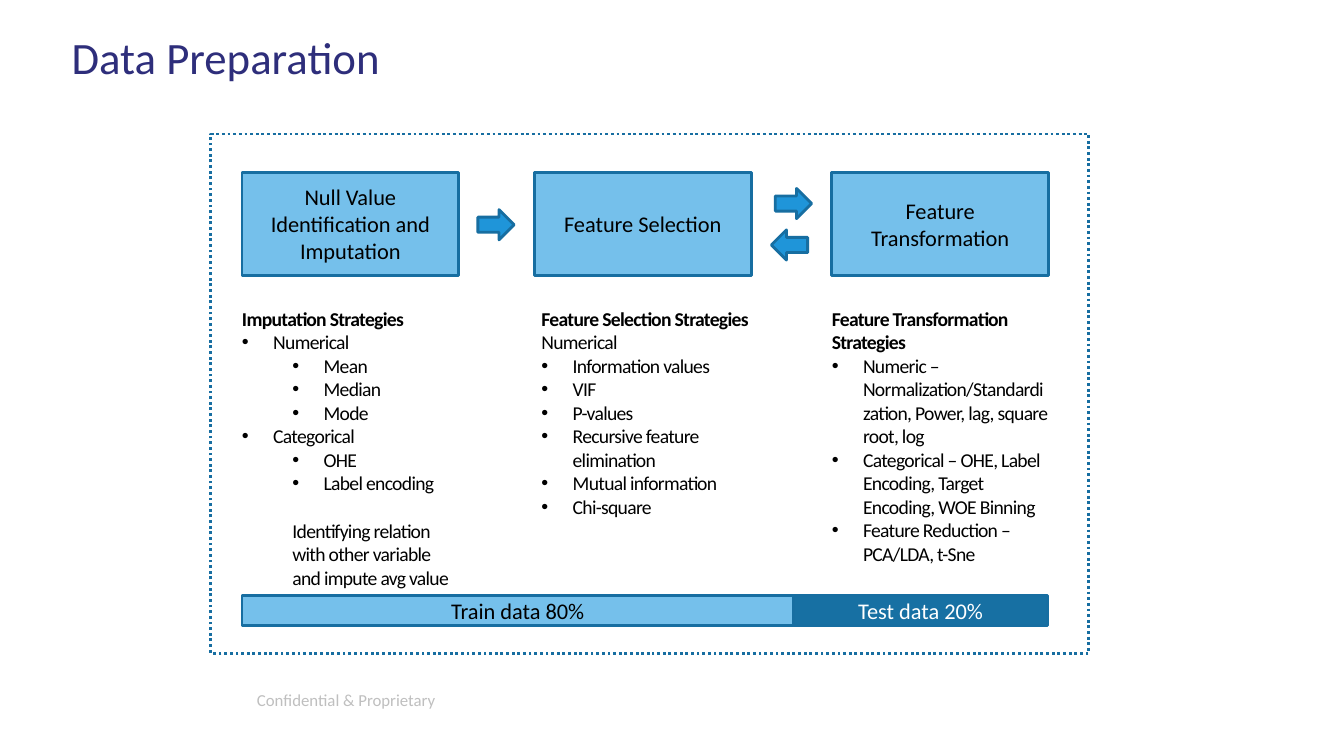
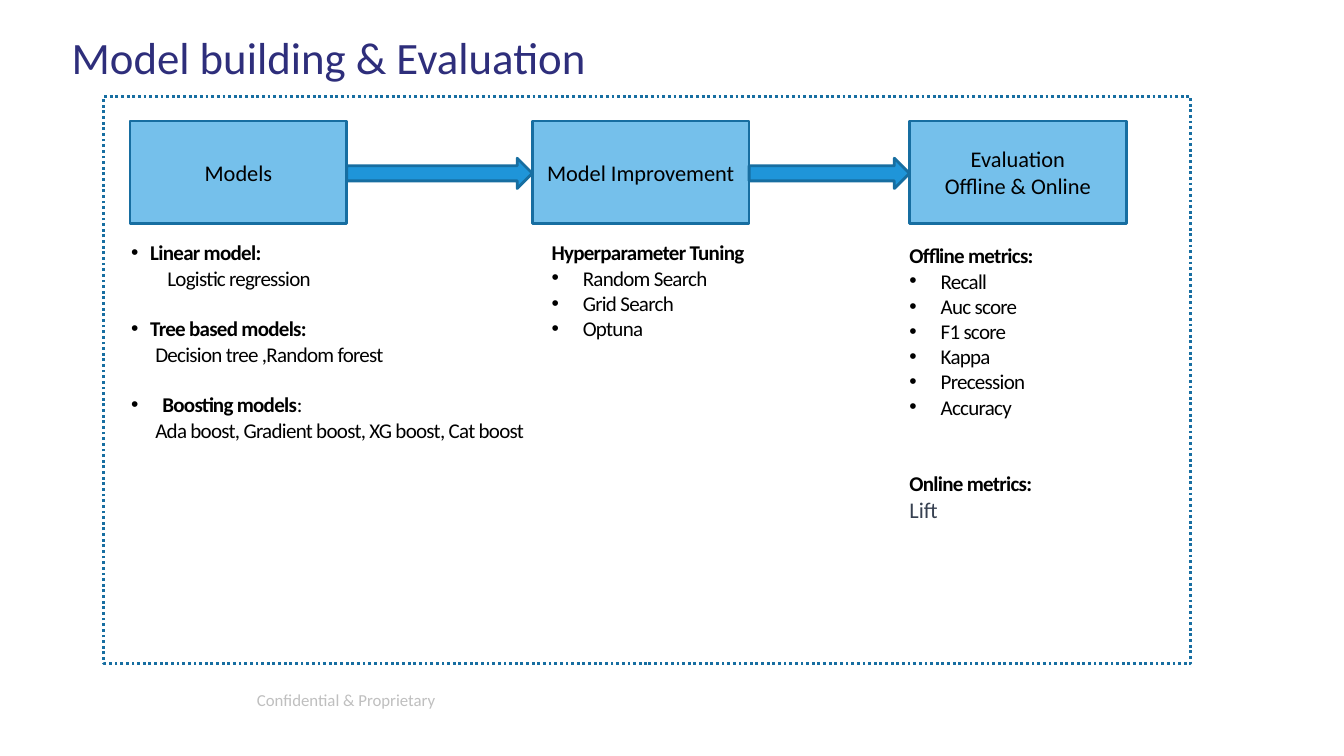
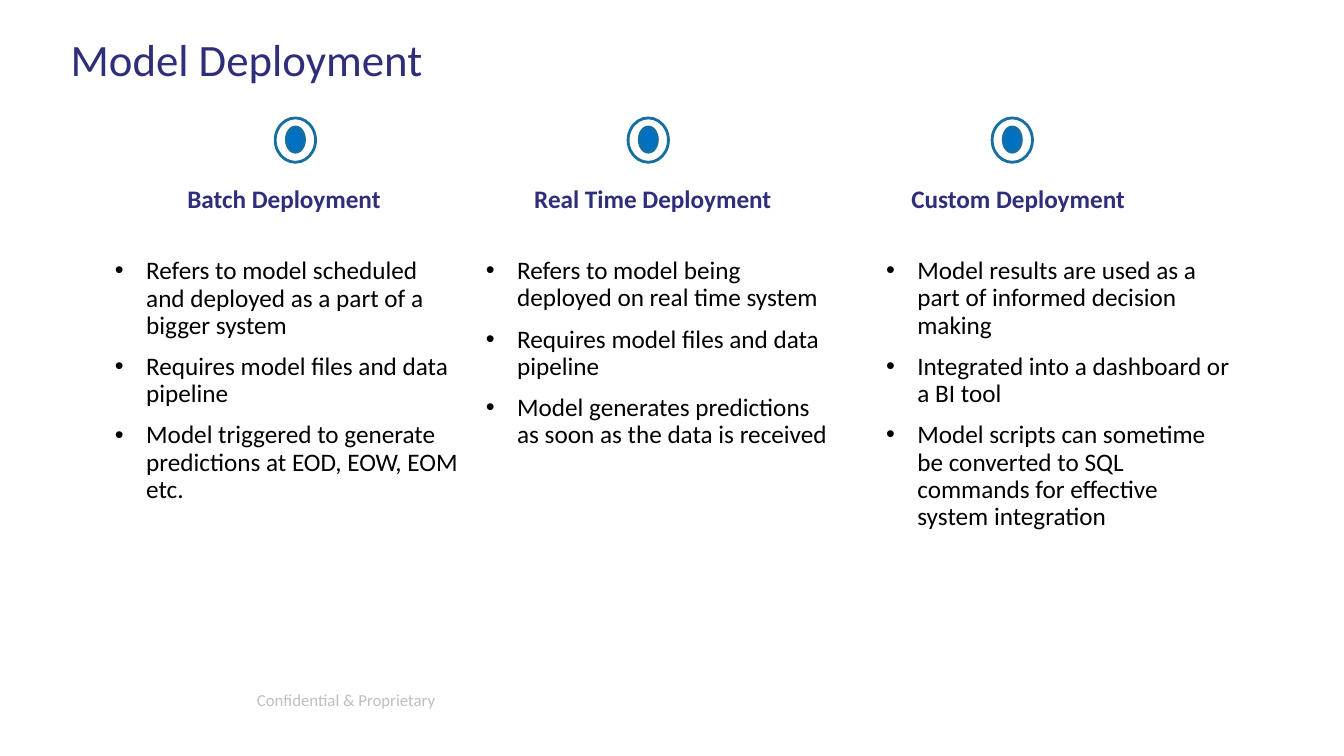
from dataclasses import dataclass
from itertools import pairwise

from lxml.etree import SubElement
from pptx import Presentation
from pptx.dml.color import RGBColor
from pptx.enum.dml import MSO_LINE
from pptx.enum.shapes import MSO_SHAPE
from pptx.enum.text import MSO_ANCHOR, MSO_AUTO_SIZE, PP_ALIGN
from pptx.oxml.ns import qn
from pptx.util import Inches, Pt

FONT = "Calibri"
NAVY = RGBColor(0x2E, 0x2E, 0x7B)
SKY = RGBColor(0x75, 0xC0, 0xEB)
BLUE = RGBColor(0x1F, 0x95, 0xD9)
DEEP_BLUE = RGBColor(0x17, 0x70, 0xA3)
OUTLINE = RGBColor(0x17, 0x6E, 0xA1)
DOT_BLUE = RGBColor(0x00, 0x70, 0xC0)
SLATE = RGBColor(0x37, 0x41, 0x51)
FOOTER_GREY = RGBColor(0xBF, 0xBF, 0xBF)
BLACK = RGBColor(0x00, 0x00, 0x00)
WHITE = RGBColor(0xFF, 0xFF, 0xFF)

TITLE_ONLY_LAYOUT = 5
CONTENT_LAYOUT = 1
STEP_WIDTH, STEP_HEIGHT = 2.15, 1.02
ARROW_WIDTH, ARROW_HEIGHT = 0.36, 0.3
HANG = 0.31


@dataclass
class Line:
    text: str
    bold: bool = False
    bullet: bool = False
    indent: float = 0
    hang: float = HANG
    before: float = 0
    tail: str = ""
    size: float = None
    color: RGBColor = None
    spacing: float = None


def heading(text, **options):
    return Line(text, bold=True, **options)


def bullets(*texts, **options):
    return [Line(text, bullet=True, **options) for text in texts]


def write_text(frame, lines, size=16, color=BLACK, spacing=0, align=PP_ALIGN.LEFT,
               anchor=MSO_ANCHOR.TOP, margin=None, line_spacing=1.0, before=0):
    frame.word_wrap = True
    frame.auto_size = MSO_AUTO_SIZE.NONE
    frame.vertical_anchor = anchor
    if margin is not None:
        frame.margin_left = frame.margin_right = Inches(margin)
        frame.margin_top = frame.margin_bottom = Inches(margin)
    for index, line in enumerate(lines):
        paragraph = frame.add_paragraph() if index else frame.paragraphs[0]
        paragraph.text = line.text
        for run in paragraph.runs:
            run.font.bold = line.bold
        if line.tail:
            run = paragraph.add_run()
            run.text = line.tail
            run.font.bold = False
        for run in paragraph.runs:
            run.font.name = FONT
            run.font.size = Pt(line.size or size)
            run.font.color.rgb = line.color or color
            tracking = spacing if line.spacing is None else line.spacing
            run.font._element.set("spc", str(round(tracking * 100)))
        paragraph.alignment = align
        paragraph.line_spacing = line_spacing
        paragraph.space_before = Pt(line.before or before)
        format_indent(paragraph, line)


def format_indent(paragraph, line):
    properties = paragraph._p.get_or_add_pPr()
    hang = line.hang if line.bullet else 0
    properties.set("marL", str(Inches(line.indent + hang)))
    properties.set("indent", str(-Inches(hang)))
    if line.bullet:
        SubElement(properties, qn("a:buFont")).set("typeface", "Arial")
        SubElement(properties, qn("a:buChar")).set("char", "•")
    else:
        SubElement(properties, qn("a:buNone"))


def add_text(slide, left, top, width, height, lines, **text_format):
    box = slide.shapes.add_textbox(Inches(left), Inches(top), Inches(width), Inches(height))
    write_text(box.text_frame, lines, **text_format)


def add_outlined(slide, kind, left, top, width, height, fill=None):
    shape = slide.shapes.add_shape(
        kind, Inches(left), Inches(top), Inches(width), Inches(height))
    shape.shadow.inherit = False
    if fill is None:
        shape.fill.background()
    else:
        shape.fill.solid()
        shape.fill.fore_color.rgb = fill
    shape.line.color.rgb = OUTLINE
    shape.line.width = Pt(2)
    return shape


def add_label_box(slide, left, top, width, height, text, fill=SKY, color=BLACK):
    shape = add_outlined(slide, MSO_SHAPE.RECTANGLE, left, top, width, height, fill)
    write_text(shape.text_frame, [Line(text)], color=color,
               align=PP_ALIGN.CENTER, anchor=MSO_ANCHOR.MIDDLE)


def add_arrow(slide, left, top, width=ARROW_WIDTH, rotation=0):
    arrow = add_outlined(slide, MSO_SHAPE.RIGHT_ARROW, left, top, width, ARROW_HEIGHT, BLUE)
    arrow.rotation = rotation


def add_frame(slide, left, top, width, height):
    frame = add_outlined(slide, MSO_SHAPE.RECTANGLE, left, top, width, height)
    frame.line.dash_style = MSO_LINE.ROUND_DOT


def add_steps(slide, left, top, steps):
    for offset, text in steps:
        add_label_box(slide, left + offset, top, STEP_WIDTH, STEP_HEIGHT, text)


def add_notes_columns(slide, left, top, columns, size):
    for across, down, width, height, lines in columns:
        add_text(slide, left + across, top + down, width, height, lines,
                 size=size, spacing=-0.5, margin=0)


def place(shape, left, top, width, height):
    shape.left, shape.top = Inches(left), Inches(top)
    shape.width, shape.height = Inches(width), Inches(height)


def add_titled_slide(presentation, layout_index, title, left=0.71, top=0.35):
    slide = presentation.slides.add_slide(presentation.slide_layouts[layout_index])
    place(slide.shapes.title, left, top, 12.01, 0.73)
    write_text(slide.shapes.title.text_frame, [Line(title)], size=32, color=NAVY,
               margin=0, line_spacing=0.9)
    add_text(slide, 2.45, 6.74, 4.5, 0.4, [Line("Confidential & Proprietary")],
             size=12, color=FOOTER_GREY, anchor=MSO_ANCHOR.MIDDLE)
    return slide


def add_preparation(slide, left, top, width, height):
    add_frame(slide, left, top, width, height)
    add_steps(slide, left, top + 0.38, [
        (0.31, "Null Value Identification and Imputation"),
        (3.21, "Feature Selection"),
        (6.16, "Feature Transformation"),
    ])
    for across, down, rotation in ((2.65, 0.75, 0), (5.6, 0.54, 0), (5.56, 0.95, 180)):
        add_arrow(slide, left + across, top + down, rotation=rotation)
    imputation = [
        heading("Imputation Strategies"),
        *bullets("Numerical"),
        *bullets("Mean", "Median", "Mode", indent=0.5),
        *bullets("Categorical"),
        *bullets("OHE", "Label encoding", indent=0.5),
        Line("Identifying relation with other variable and impute avg value",
             indent=0.5, before=17),
    ]
    selection = [
        heading("Feature Selection Strategies"),
        Line("Numerical"),
        *bullets("Information values", "VIF", "P-values", "Recursive feature elimination",
                 "Mutual information", "Chi-square"),
    ]
    transformation = [
        heading("Feature Transformation Strategies"),
        *bullets("Numeric – Normalization/Standardization, Power, lag, square root, log",
                 "Categorical – OHE, Label Encoding, Target Encoding, WOE Binning",
                 "Feature Reduction – PCA/LDA, t-Sne"),
    ]
    add_notes_columns(slide, left, top + 1.71, [
        (0.31, 0, STEP_WIDTH, 2.98, imputation),
        (3.28, 0, STEP_WIDTH, 2.1, selection),
        (6.16, 0, STEP_WIDTH, 2.68, transformation),
    ], size=14)
    train_width, test_width = 5.47, 2.52
    add_label_box(slide, left + 0.31, top + 4.58, train_width, 0.3, "Train data 80%")
    add_label_box(slide, left + 0.31 + train_width, top + 4.58, test_width, 0.3,
                  "Test data 20%", fill=DEEP_BLUE, color=WHITE)


def add_evaluation(slide, left, top, width, height):
    add_frame(slide, left, top, width, height)
    steps = [(0.26, "Models"), (4.25, "Model Improvement"),
             (7.99, "Evaluation\nOffline & Online")]
    step_top = top + 0.24
    add_steps(slide, left, step_top, steps)
    for (start, _), (end, _) in pairwise(steps):
        add_arrow(slide, left + start + STEP_WIDTH,
                  step_top + (STEP_HEIGHT - ARROW_HEIGHT) / 2 + 0.01,
                  width=end - start - STEP_WIDTH)
    models = [
        heading("Linear model:", bullet=True, hang=0.19),
        Line("Logistic regression", indent=0.36),
        heading("Tree based models:", bullet=True, hang=0.19, before=18.3),
        Line("Decision tree ,Random forest", indent=0.24),
        heading("Boosting models", bullet=True, tail=":", before=18.3),
        Line("Ada boost, Gradient boost, XG boost, Cat boost", indent=0.24),
    ]
    tuning = [
        heading("Hyperparameter Tuning"),
        *bullets("Random Search", "Grid Search", "Optuna"),
    ]
    metrics = [
        heading("Offline metrics:"),
        *bullets("Recall", "Auc score", "F1 score", "Kappa", "Precession", "Accuracy"),
        heading("Online metrics:", before=36.6),
        Line("Lift", size=16, color=SLATE, spacing=0),
    ]
    add_notes_columns(slide, left, top + 1.42, [
        (0.27, 0, 4.18, 3.5, models),
        (4.44, 0, STEP_WIDTH, 2.68, tuning),
        (7.99, 0.03, 2.6, 3.5, metrics),
    ], size=15)


def add_marker(slide, left, top):
    outer_width, outer_height, inner_width, inner_height = 0.4, 0.44, 0.18, 0.25
    add_outlined(slide, MSO_SHAPE.OVAL, left, top, outer_width, outer_height, WHITE)
    add_outlined(slide, MSO_SHAPE.OVAL, left + (outer_width - inner_width) / 2,
                 top + 0.09, inner_width, inner_height, DOT_BLUE)


def add_deployment(slide, left, top, width, height):
    columns = [
        (0, 1.69, 0.72, 2.36, "Batch Deployment", (
            "Refers to model scheduled and deployed as a part of a bigger system",
            "Requires model files and data pipeline",
            "Model triggered to generate predictions at EOD, EOW, EOM etc.")),
        (3.68, 1.51, 0.48, 2.65, "Real Time Deployment", (
            "Refers to model being deployed on real time system",
            "Requires model files and data pipeline",
            "Model generates predictions as soon as the data is received")),
        (7.65, 1.15, 0.25, 2.34, "Custom Deployment", (
            "Model results are used as a part of informed decision making",
            "Integrated into a dashboard or a BI tool",
            "Model scripts can sometime be converted to SQL commands "
            "for effective system integration")),
    ]
    body_top, body_width = 1.34, 3.62
    list_format = {"size": 18, "line_spacing": 0.9, "before": 10}
    for offset, marker_left, name_left, name_width, name, points in columns:
        column_left = left + offset
        add_marker(slide, column_left + marker_left, top)
        add_text(slide, column_left + name_left, top + 0.6, name_width, 0.4,
                 [heading(name)], size=18, color=NAVY)
        area = (column_left, top + body_top, body_width, height - body_top)
        if offset == 0:
            body = slide.placeholders[1]
            place(body, *area)
            write_text(body.text_frame, bullets(*points), **list_format)
        else:
            add_text(slide, *area, bullets(*points), **list_format)


def main():
    presentation = Presentation()
    presentation.slide_width = Inches(13.33)
    presentation.slide_height = Inches(7.5)

    preparation = add_titled_slide(presentation, TITLE_ONLY_LAYOUT, "Data Preparation")
    add_preparation(preparation, 2.09, 1.33, 8.71, 5.15)

    evaluation = add_titled_slide(presentation, TITLE_ONLY_LAYOUT,
                                  "Model building & Evaluation")
    add_evaluation(evaluation, 1.03, 0.96, 10.78, 5.62)

    deployment = add_titled_slide(presentation, CONTENT_LAYOUT, "Model Deployment",
                                  left=0.7, top=0.37)
    add_deployment(deployment, 1.04, 1.17, 11.27, 3.59)

    presentation.save("out.pptx")


if __name__ == "__main__":
    main()
